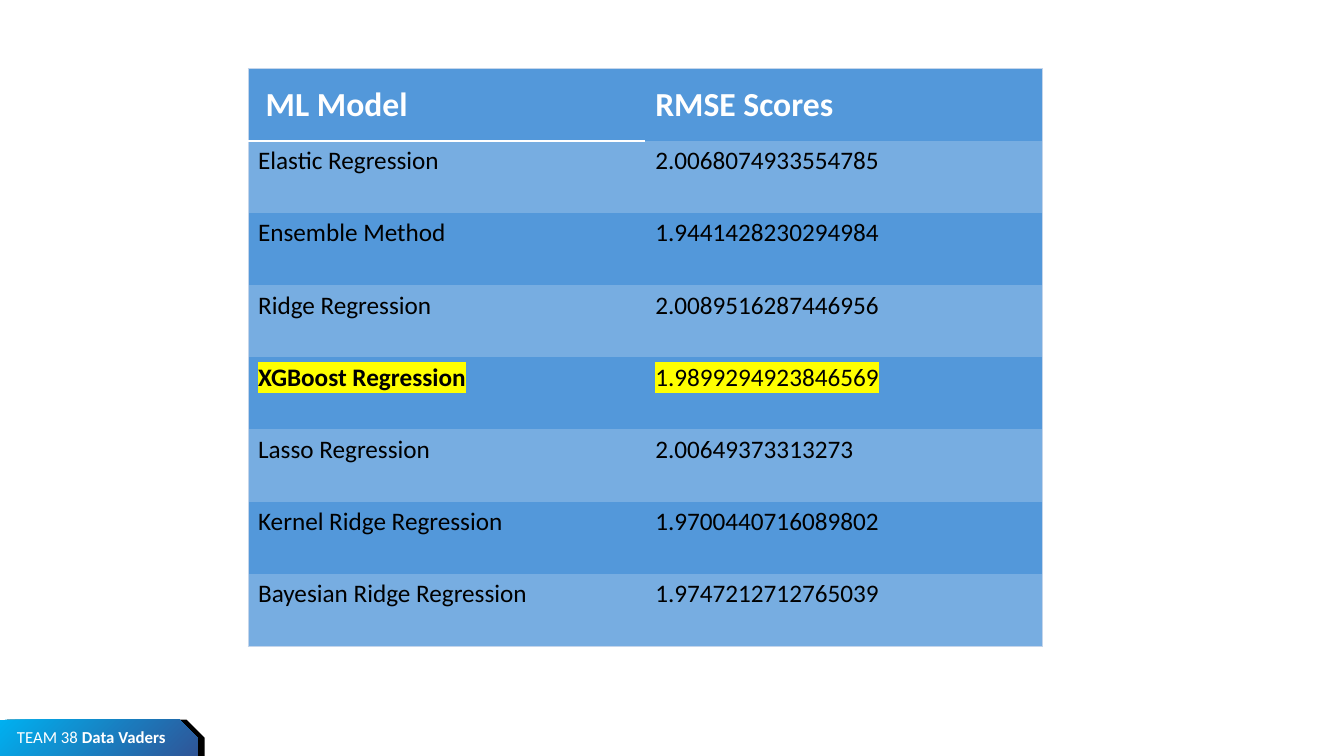
"""Build the slide that compares RMSE scores of regression models."""
from lxml.etree import SubElement as Sub
from pptx import Presentation
from pptx.dml.color import RGBColor as Rgb
from pptx.enum.shapes import MSO_SHAPE as Kind
from pptx.enum.text import MSO_ANCHOR as Anchor
from pptx.oxml.ns import qn
from pptx.util import Inches, Pt


def paint(color, hue):
    color.rgb = Rgb.from_string(hue)


def write(para, text, hue, **form):
    run = para.add_run()
    run.text = text
    paint(run.font.color, hue)
    for key, val in {"name": "Calibri", "bold": False, **form}.items():
        setattr(run.font, key, val)
    return run


deck = Presentation()
deck.slide_width, deck.slide_height = Inches(13.33), Inches(7.5)
slide = deck.slides.add_slide(deck.slide_layouts[6])
shapes = slide.shapes

for left in (0.07, 0):
    tab = shapes.add_shape(Kind.SNIP_1_RECTANGLE, Inches(left), Inches(7.14),
                           Inches(1.96), Inches(0.36))
    tab.adjustments[0] = 0.5
    tab.shadow.inherit = False
    tab.line.fill.background()
    if left:
        tab.fill.solid()
        paint(tab.fill.fore_color, "000000")
    else:
        tab.fill.gradient()
        for stop, hue in zip(tab.fill.gradient_stops, ("2F5597", "00B0F0")):
            paint(stop.color, hue)
        grad = tab.element.spPr.find(qn("a:gradFill"))
        grad.remove(grad.find(qn("a:lin")))
        focus = Sub(grad, qn("a:path"), path="circle")
        Sub(focus, qn("a:fillToRect"), l="100000", t="100000")

team = shapes.add_textbox(Inches(0.07), Inches(7.16), Inches(1.96), Inches(0.3))
team.text_frame.word_wrap = True
for text, bold in (("TEAM 38 ", False), ("Data Vaders", True)):
    write(team.text_frame.paragraphs[0], text, "FFFFFF", size=Pt(12), bold=bold)

scores = [
    (" ML Model", "RMSE Scores"),
    ("Elastic Regression", "2.0068074933554785"),
    ("Ensemble Method", "1.9441428230294984"),
    ("Ridge Regression", "2.0089516287446956"),
    ("XGBoost Regression", "1.9899294923846569"),
    ("Lasso Regression", "2.00649373313273"),
    ("Kernel Ridge Regression", "1.9700440716089802"),
    ("Bayesian Ridge Regression", "1.9747212712765039"),
]
last = len(scores) - 1
best = 4
frame = shapes.add_table(len(scores), 2, Inches(2.46), Inches(0.68),
                         Inches(7.88), Inches(5.73))
grid = frame.table
style = next(frame.element.iter(qn("a:tableStyleId")))
style.text = "{2D5ABB26-0587-4C30-8999-92F81FD0307C}"

for row, pair in enumerate(scores):
    for col, text in enumerate(pair):
        cell = grid.cell(row, col)
        head = row == 0
        edges = {"lnR" if col else "lnL": ("C4D5EB", 0.5)}
        if head:
            edges["lnT"] = ("C4D5EB", 0.5)
            if col == 0:
                edges["lnB"] = ("FFFFFF", 1.5)
        if row == last:
            edges["lnB"] = ("C4D5EB", 0.5)
        props = cell._tc.get_or_add_tcPr()
        for tag, (hue, width) in edges.items():
            line = Sub(props, qn(f"a:{tag}"), w=str(Pt(width)))
            Sub(Sub(line, qn("a:solidFill")), qn("a:srgbClr"), val=hue)
        cell.fill.solid()
        paint(cell.fill.fore_color, "77ADE1" if row % 2 else "5398DA")
        cell.vertical_anchor = Anchor.MIDDLE if head else Anchor.TOP
        run = write(cell.text_frame.paragraphs[0], text,
                    "FFFFFF" if head else "000000",
                    size=Pt(24 if head else 18),
                    bold=head or (row == best and col == 0))
        if row == best:
            font = run.font._element
            mark = Sub(font, qn("a:highlight"))
            Sub(mark, qn("a:srgbClr"), val="FFFF00")
            font.find(qn("a:latin")).addprevious(mark)

deck.save("out.pptx")
